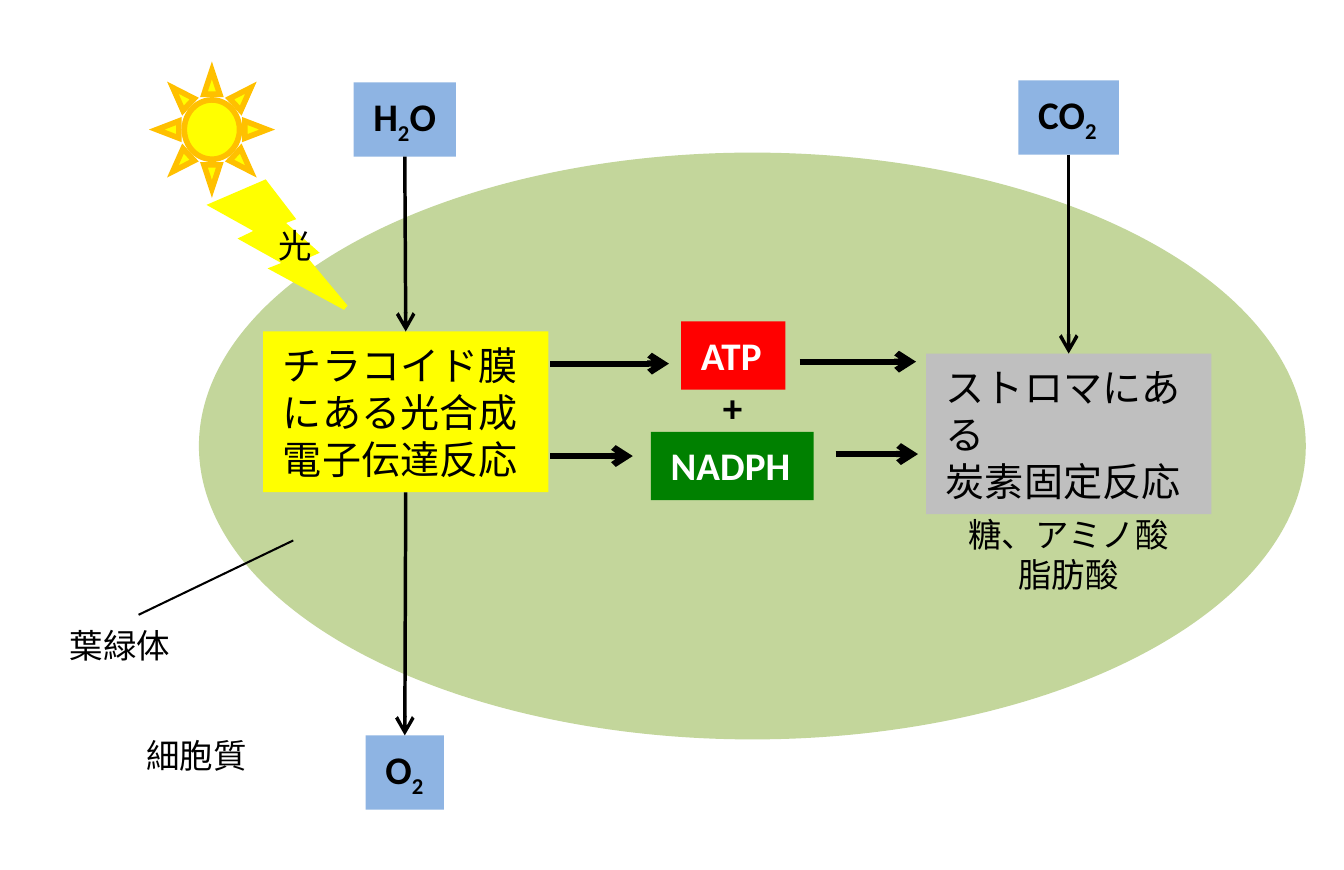
from lxml import etree
from pptx import Presentation
from pptx.dml.color import RGBColor
from pptx.enum.shapes import MSO_CONNECTOR, MSO_SHAPE
from pptx.enum.text import MSO_ANCHOR, MSO_AUTO_SIZE, PP_ALIGN
from pptx.oxml.ns import qn
from pptx.util import Inches, Pt

BLACK = RGBColor(0x00, 0x00, 0x00)
WHITE = RGBColor(0xFF, 0xFF, 0xFF)
LEAF = RGBColor(0xC3, 0xD6, 0x9B)
YELLOW = RGBColor(0xFF, 0xFF, 0x00)
ORANGE = RGBColor(0xFF, 0xC0, 0x00)
RED = RGBColor(0xFF, 0x00, 0x00)
GREEN = RGBColor(0x00, 0x80, 0x00)
GRAY = RGBColor(0xBF, 0xBF, 0xBF)
BLUE = RGBColor(0x8E, 0xB4, 0xE3)
TOP, BOTTOM = 0, 2


def inches(box):
    return [Inches(value) for value in box]


def add_figure(slide, kind, box, fill, outline=None):
    figure = slide.shapes.add_shape(kind, *inches(box))
    figure.shadow.inherit = False
    figure.fill.solid()
    figure.fill.fore_color.rgb = fill
    if outline is None:
        figure.line.fill.background()
    else:
        figure.line.color.rgb = outline
        figure.line.width = Pt(2)
        # Sharp corners
        etree.SubElement(figure.line._get_or_add_ln(), qn("a:miter"), lim="800000")
    return figure


def write(shape, lines, size, color=BLACK, bold=False, wrap=False,
          align=PP_ALIGN.LEFT, anchor=MSO_ANCHOR.TOP, grow=True):
    """Each line is a list of runs; a run of digits is set as a subscript."""
    frame = shape.text_frame
    frame.word_wrap = wrap
    frame.vertical_anchor = anchor
    if grow:
        frame.auto_size = MSO_AUTO_SIZE.SHAPE_TO_FIT_TEXT
    for index, line in enumerate(lines):
        paragraph = frame.add_paragraph() if index else frame.paragraphs[0]
        paragraph.alignment = align
        for text in line:
            run = paragraph.add_run()
            run.text = text
            run.font.name = "Calibri"
            run.font.size = Pt(size)
            run.font.bold = bold
            run.font.color.rgb = color
            if text.isdigit():
                run._r.get_or_add_rPr().set("baseline", "-25000")


def add_box(slide, box, fill, lines, **style):
    figure = add_figure(slide, MSO_SHAPE.RECTANGLE, box, fill)
    write(figure, lines, 14, **style)
    return figure


def add_label(slide, box, lines, size=12, **style):
    write(slide.shapes.add_textbox(*inches(box)), lines, size, **style)


def add_line(slide, start, end, width, arrow=True):
    line = slide.shapes.add_connector(MSO_CONNECTOR.STRAIGHT, *inches(start + end))
    line.line.color.rgb = BLACK
    line.line.width = Pt(width)
    if arrow:
        etree.SubElement(line.line._get_or_add_ln(), qn("a:tailEnd"), type="arrow")
    etree.SubElement(line._element.spPr, qn("a:effectLst"))
    return line


def join(slide, upper, lower):
    arrow = add_line(slide, (0, 0), (0, 0), 1.25)
    arrow.begin_connect(upper, BOTTOM)
    arrow.end_connect(lower, TOP)


def draw_cell(slide, left, top, width, height):
    # Chloroplast with its pointer, and the names of the compartments
    add_figure(slide, MSO_SHAPE.OVAL, (left, top, width, height), LEAF)
    add_line(slide, (left - 0.3, top + 2.3), (left + 0.47, top + 1.93), 0.75, arrow=False)
    add_label(slide, (left - 0.74, top + 2.3, 0.7, 0.3), [["葉緑体"]])
    add_label(slide, (left - 0.36, top + 2.85, 0.7, 0.3), [["細胞質"]])


def draw_thylakoid(slide, left, top, width, height):
    # Water in, light reactions, oxygen out
    water = add_box(slide, (left + 0.45, top - 1.24, 0.51, 0.37), BLUE,
                    [["H", "2", "O"]], bold=True)
    reactions = add_box(slide, (left, top, width, height), YELLOW,
                        [["チラコイド膜にある光合成電子伝達反応"]], wrap=True)
    oxygen = add_box(slide, (left + 0.51, top + 2.01, 0.39, 0.37), BLUE,
                     [["O", "2"]], bold=True)
    join(slide, water, reactions)
    join(slide, reactions, oxygen)


def draw_carriers(slide, left, top, width, height):
    # ATP and NADPH, each between its two arrows
    add_box(slide, (left + 0.15, top, 0.52, 0.34), RED, [["ATP"]],
            color=WHITE, bold=True)
    add_label(slide, (left + 0.26, top + 0.26, 0.29, 0.34), [["+"]], 14, bold=True)
    add_box(slide, (left, top + height - 0.34, width, 0.34), GREEN, [["NADPH"]],
            color=WHITE, bold=True)
    for start, length, drop in ((-0.5, 0.59, 0.21), (0.74, 0.58, 0.2),
                                (-0.5, 0.41, 0.67), (0.92, 0.41, 0.66)):
        add_line(slide, (left + start, top + drop),
                 (left + start + length, top + drop), 2.25)


def draw_stroma(slide, left, top, width, height):
    # Carbon dioxide in, carbon fixation, products below
    carbon_dioxide = add_box(slide, (left + 0.46, top - 1.36, 0.5, 0.37), BLUE,
                             [["CO", "2"]], bold=True)
    fixation = add_box(slide, (left, top, width, height), GRAY,
                       [["ストロマにある"], ["炭素固定反応"]], wrap=True)
    add_label(slide, (left + 0.11, top + 0.75, 1.2, 0.5),
              [["糖、アミノ酸"], ["脂肪酸"]], align=PP_ALIGN.CENTER)
    join(slide, carbon_dioxide, fixation)


def draw_sunlight(slide, left, top, width, height):
    # Sun and its beam
    add_figure(slide, MSO_SHAPE.SUN, (left, top, width, height), YELLOW, ORANGE)
    beam = add_figure(slide, MSO_SHAPE.LIGHTNING_BOLT,
                      (left + 0.28, top + 0.56, 0.66, 0.62), YELLOW, YELLOW)
    write(beam, [["光"]], 12, wrap=True, align=PP_ALIGN.CENTER,
          anchor=MSO_ANCHOR.MIDDLE, grow=False)


def main():
    presentation = Presentation()
    presentation.slide_width = Inches(6.69)
    presentation.slide_height = Inches(4.33)
    slide = presentation.slides.add_slide(presentation.slide_layouts[6])
    draw_cell(slide, 0.99, 0.76, 5.51, 2.92)
    draw_thylakoid(slide, 1.31, 1.65, 1.42, 0.8)
    draw_carriers(slide, 3.24, 1.6, 0.81, 0.89)
    draw_stroma(slide, 4.61, 1.76, 1.42, 0.8)
    draw_sunlight(slide, 0.78, 0.35, 0.55, 0.59)
    presentation.save("out.pptx")


if __name__ == "__main__":
    main()
